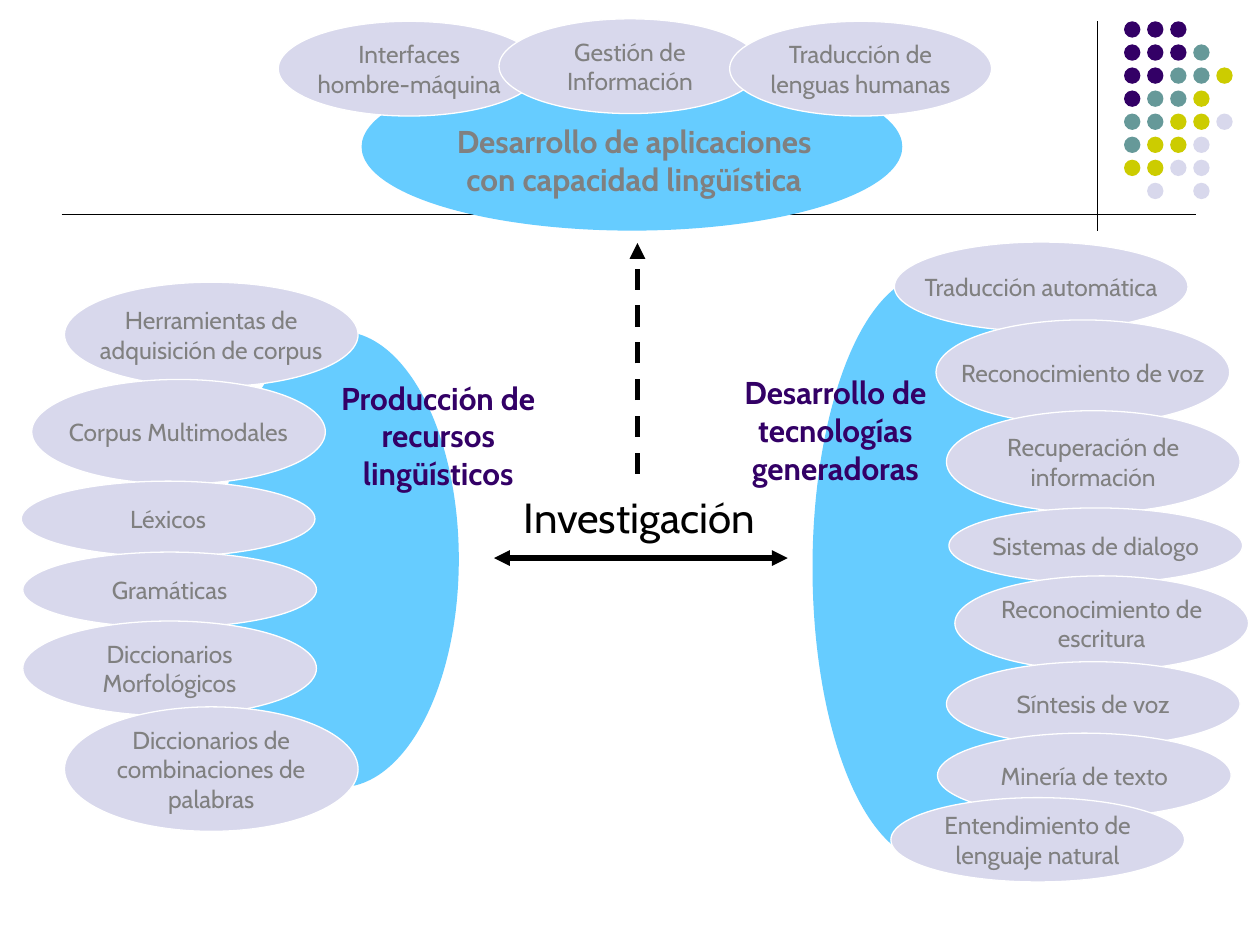
import pptx
import pptx.util
import pptx.dml.color
import pptx.enum.dml
import pptx.enum.shapes
import pptx.enum.text
import pptx.oxml.ns
from lxml import etree
from pptx.util import Cm

COLORS = {"purple": "330066", "teal": "669999", "lime": "CCCC00", "lilac": "D8D8EC",
          "sky": "66CCFF", "gray": "808080", "black": "000000", "white": "FFFFFF"}
RGB = {name: pptx.dml.color.RGBColor.from_string(value) for name, value in COLORS.items()}

deck = pptx.Presentation()
deck.slide_width, deck.slide_height = Cm(25.4), Cm(19.05)
page = deck.slides.add_slide(deck.slide_layouts[6])


def add_text(place, text="", size=14, color="gray", bold=False, fill=None, outline=False):
    """Add an ellipse when a fill is given, otherwise a text box."""
    bounds = [Cm(length) for length in place]
    if fill:
        box = page.shapes.add_shape(pptx.enum.shapes.MSO_SHAPE.OVAL, *bounds)
        box.shadow.inherit = False
        box.fill.solid()
        box.fill.fore_color.rgb = RGB[fill]
        if outline:
            box.line.color.rgb = RGB["white"]
            box.line.width = pptx.util.Pt(0.75)
        else:
            box.line.fill.background()
    else:
        box = page.shapes.add_textbox(*bounds)
    if text:
        box.text_frame.word_wrap = False
        para = box.text_frame.paragraphs[0]
        para.text = text.replace("\n", "\v")
        para.alignment = pptx.enum.text.PP_ALIGN.CENTER
        para.font.name = "Cabin"
        para.font.size = pptx.util.Pt(size)
        para.font.bold = bold
        para.font.color.rgb = RGB[color]


def add_line(x1, y1, x2, y2, width, ends=(), dashed=False):
    line = page.shapes.add_connector(pptx.enum.shapes.MSO_CONNECTOR.STRAIGHT,
                                     Cm(x1), Cm(y1), Cm(x2), Cm(y2))
    line.line.color.rgb = RGB["black"]
    line.line.width = pptx.util.Pt(width)
    if dashed:
        line.line.dash_style = pptx.enum.dml.MSO_LINE.DASH
    outline = line.line._get_or_add_ln()
    for end in ends:
        etree.SubElement(outline, pptx.oxml.ns.qn(f"a:{end}"), type="triangle")
    etree.SubElement(line._element.spPr, pptx.oxml.ns.qn("a:effectLst"))


# Rules and dot pattern in the corner
add_line(22.12, 0.43, 22.12, 4.65, 0.75)
dot_colors = {"P": "purple", "T": "teal", "L": "lime", "G": "lilac"}
dot_rows = ["PPP", "PPPT", "PPTTL", "PTTL", "TTLLG", "TLLG", "LLGG", " G G"]
for row, letters in enumerate(dot_rows):
    for column, letter in enumerate(letters):
        if letter in dot_colors:
            add_text((22.66 + column * 0.465, 0.43 + row * 0.465, 0.33, 0.33),
                     fill=dot_colors[letter])
add_line(1.24, 4.32, 24.1, 4.32, 0.5)

# The three areas: ellipse, heading, and topics as (left, top, height, text)
areas = [
    ((4.47, 6.68, 4.78, 9.19), (6.46, 7.51, 4.75, 2.79),
     "Producción de\nrecursos\nlingüísticos", "purple", 5.92, [
        (1.3, 5.69, 2.11, "Herramientas de\nadquisición de corpus"),
        (0.64, 7.65, 2.11, "Corpus Multimodales"),
        (0.43, 9.7, 1.52, "Léxicos"),
        (0.46, 11.13, 1.52, "Gramáticas"),
        (0.46, 12.52, 1.91, "Diccionarios\nMorfológicos"),
        (1.3, 14.25, 2.51, "Diccionarios de\ncombinaciones de\npalabras")]),
    ((16.38, 5.54, 4.75, 11.81), (14.59, 7.4, 4.5, 2.79),
     "Desarrollo de\ntecnologías\ngeneradoras", "purple", 5.92, [
        (18.03, 4.88, 1.8, "Traducción automática"),
        (18.87, 6.45, 2.11, "Reconocimiento de voz"),
        (19.08, 8.28, 2.06, "Recuperación de\ninformación"),
        (19.13, 10.24, 1.52, "Sistemas de dialogo"),
        (19.25, 11.61, 1.91, "Reconocimiento de\nescritura"),
        (19.08, 13.34, 1.7, "Síntesis de voz"),
        (18.9, 14.78, 1.7, "Minería de texto"),
        (17.96, 16.08, 1.7, "Entendimiento de\nlenguaje natural")]),
    ((7.29, 1.27, 10.9, 3.38), (8.38, 2.34, 8.81, 1.78),
     "Desarrollo de aplicaciones\ncon capacidad lingüística", "gray", 5.28, [
        (5.61, 0.43, 1.91, "Interfaces\nhombre-máquina"),
        (10.06, 0.38, 1.91, "Gestión de\nInformación"),
        (14.71, 0.43, 1.91, "Traducción de\nlenguas humanas")]),
]
for ellipse, heading_place, heading, heading_color, topic_width, topics in areas:
    add_text(ellipse, fill="sky")
    add_text(heading_place, heading, 18, heading_color, bold=True)
    for left, top, height, topic in topics:
        add_text((left, top, topic_width, height), topic, fill="lilac", outline=True)

# Research in the centre, with arrows to the areas
add_text((9.98, 9.78, 5.82, 1.27), "Investigación", 24, "black")
add_line(9.96, 11.25, 15.88, 11.25, 3, ends=("headEnd", "tailEnd"))
add_line(12.85, 9.55, 12.85, 4.9, 3, ends=("tailEnd",), dashed=True)

deck.save("out.pptx")
